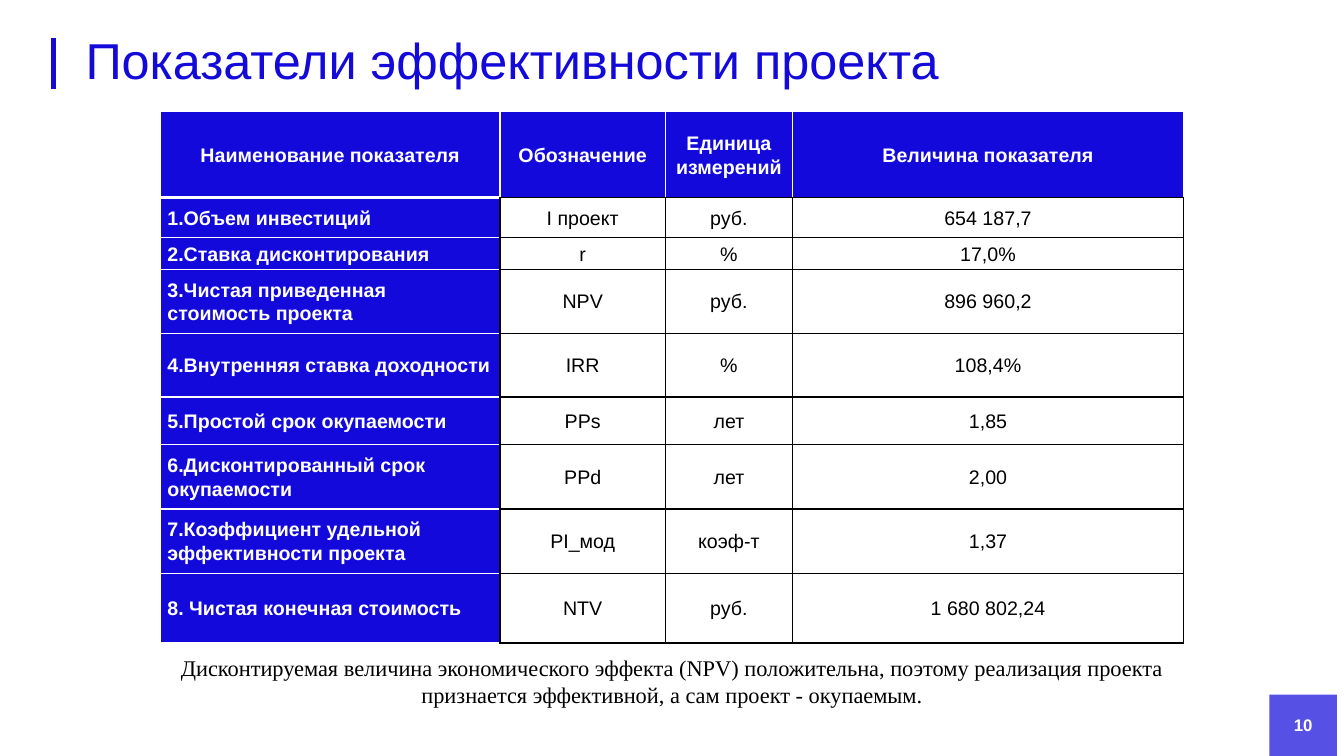
from dataclasses import dataclass

from lxml.etree import SubElement
from pptx import Presentation
from pptx.dml.color import RGBColor
from pptx.enum.shapes import MSO_CONNECTOR, MSO_SHAPE
from pptx.enum.text import MSO_ANCHOR, PP_ALIGN
from pptx.oxml.ns import qn
from pptx.util import Inches, Pt


@dataclass(frozen=True)
class Theme:
    accent: str = "1309D9"
    table_fill: str = "1309DA"
    white: str = "FFFFFF"
    black: str = "000000"
    font: str = "Arial"
    note_font: str = "Times New Roman"
    title_size: int = 36
    table_size: int = 14
    note_size: int = 16
    number_size: int = 12


HEADERS = ["Наименование показателя", "Обозначение", "Единица измерений", "Величина показателя"]
INDICATORS = [
    ["1.Объем инвестиций", "I проект", "руб.", "654 187,7"],
    ["2.Ставка дисконтирования", "r", "%", "17,0%"],
    ["3.Чистая приведенная стоимость проекта", "NPV", "руб.", "896 960,2"],
    ["4.Внутренняя ставка доходности", "IRR", "%", "108,4%"],
    ["5.Простой срок окупаемости", "PPs", "лет", "1,85"],
    ["6.Дисконтированный срок окупаемости", "PPd", "лет", "2,00"],
    ["7.Коэффициент удельной эффективности проекта", "PI_мод", "коэф-т", "1,37"],
    ["8. Чистая конечная стоимость", "NTV", "руб.", "1 680 802,24"],
]
COLUMN_WIDTHS = [3.37, 1.64, 1.26, 3.88]
ROW_HEIGHTS = [0.85, 0.4, 0.31, 0.64, 0.63, 0.47, 0.64, 0.64, 0.69]
NOTE = (
    "Дисконтируемая величина экономического эффекта (NPV) положительна, поэтому "
    "реализация проекта признается эффективной, а сам проект - окупаемым."
)


class SlideBuilder:
    def __init__(self, slide, theme):
        self.slide = slide
        self.theme = theme

    def set_text(self, text_frame, text, size, color, font=None, bold=False,
                 align=PP_ALIGN.LEFT, spacing=None):
        text_frame.word_wrap = True
        text_frame.text = text
        paragraph = text_frame.paragraphs[0]
        paragraph.alignment = align
        if spacing:
            paragraph.line_spacing = spacing
        for run in paragraph.runs:
            run.font.name = font or self.theme.font
            run.font.size = Pt(size)
            run.font.bold = bold
            run.font.color.rgb = RGBColor.from_string(color)

    def text(self, box, text, size, color, anchor=MSO_ANCHOR.MIDDLE, **style):
        shape = self.slide.shapes.add_textbox(*map(Inches, box))
        shape.text_frame.vertical_anchor = anchor
        self.set_text(shape.text_frame, text, size, color, **style)

    def line(self, start, end, color, width):
        connector = self.slide.shapes.add_connector(
            MSO_CONNECTOR.STRAIGHT, *map(Inches, start + end))
        connector.line.color.rgb = RGBColor.from_string(color)
        connector.line.width = Pt(width)
        SubElement(connector._element.spPr, qn("a:effectLst"))

    def rectangle(self, box, color, opacity):
        shape = self.slide.shapes.add_shape(MSO_SHAPE.RECTANGLE, *map(Inches, box))
        shape.shadow.inherit = False
        shape.line.fill.background()
        shape.fill.solid()
        shape.fill.fore_color.rgb = RGBColor.from_string(color)
        color_element = shape._element.spPr.find(".//" + qn("a:srgbClr"))
        SubElement(color_element, qn("a:alpha"), val=str(opacity * 1000))

    def border(self, cell, side, color, width):
        line = SubElement(cell._tc.get_or_add_tcPr(), qn("a:ln" + side), w=str(Pt(width)))
        fill = SubElement(line, qn("a:solidFill"))
        SubElement(fill, qn("a:srgbClr"), val=color)

    def cell(self, cell, text, row, column):
        theme = self.theme
        is_header, is_label = row == 0, column == 0
        filled = is_header or is_label
        edge = theme.white if filled else theme.black
        # Borders come before the fill in the cell properties
        colors = {
            "L": edge,
            "R": theme.white if is_header else theme.black,
            "T": edge,
            "B": theme.white if is_label else theme.black,
        }
        for side, color in colors.items():
            under_header = is_label and (row, side) in ((0, "B"), (1, "T"))
            self.border(cell, side, color, 3 if under_header else 1)
        if filled:
            cell.fill.solid()
            cell.fill.fore_color.rgb = RGBColor.from_string(theme.table_fill)
        else:
            cell.fill.background()
        cell.margin_left = cell.margin_right = Inches(0.07)
        cell.margin_top = cell.margin_bottom = 0
        cell.vertical_anchor = MSO_ANCHOR.MIDDLE
        left_aligned = is_label and not is_header
        self.set_text(cell.text_frame, text, theme.table_size,
                      theme.white if filled else theme.black, bold=filled, spacing=1.07,
                      align=PP_ALIGN.LEFT if left_aligned else PP_ALIGN.CENTER)

    def table(self, left, top, widths, heights, rows):
        box = (left, top, sum(widths), sum(heights))
        table = self.slide.shapes.add_table(
            len(heights), len(widths), *map(Inches, box)).table
        table.first_row = table.horz_banding = False
        for column, width in zip(table.columns, widths):
            column.width = Inches(width)
        for row, height in zip(table.rows, heights):
            row.height = Inches(height)
        for row_index, texts in enumerate(rows):
            for column_index, text in enumerate(texts):
                self.cell(table.cell(row_index, column_index), text, row_index, column_index)


def main():
    presentation = Presentation()
    presentation.slide_width = Inches(13.33)
    presentation.slide_height = Inches(7.5)
    theme = Theme()
    builder = SlideBuilder(
        presentation.slides.add_slide(presentation.slide_layouts[6]), theme)

    # Accent bar and page number background
    builder.line((0.53, 0.38), (0.53, 0.88), theme.accent, 3)
    builder.rectangle((12.59, 6.89, 0.67, 0.61), theme.accent, 71)

    # Indicator table
    builder.table(1.59, 1.11, COLUMN_WIDTHS, ROW_HEIGHTS, [HEADERS] + INDICATORS)

    # Title, page number and conclusion
    builder.text((0.75, 0.35, 11.13, 0.55), "Показатели эффективности проекта",
                 theme.title_size, theme.accent, spacing=0.9)
    builder.text((12.59, 6.99, 0.67, 0.4), "10", theme.number_size, theme.white,
                 bold=True, align=PP_ALIGN.CENTER)
    builder.text((1.59, 6.44, 10.15, 0.64), NOTE, theme.note_size, theme.black,
                 anchor=MSO_ANCHOR.TOP, font=theme.note_font, align=PP_ALIGN.CENTER)

    presentation.save("out.pptx")


if __name__ == "__main__":
    main()
